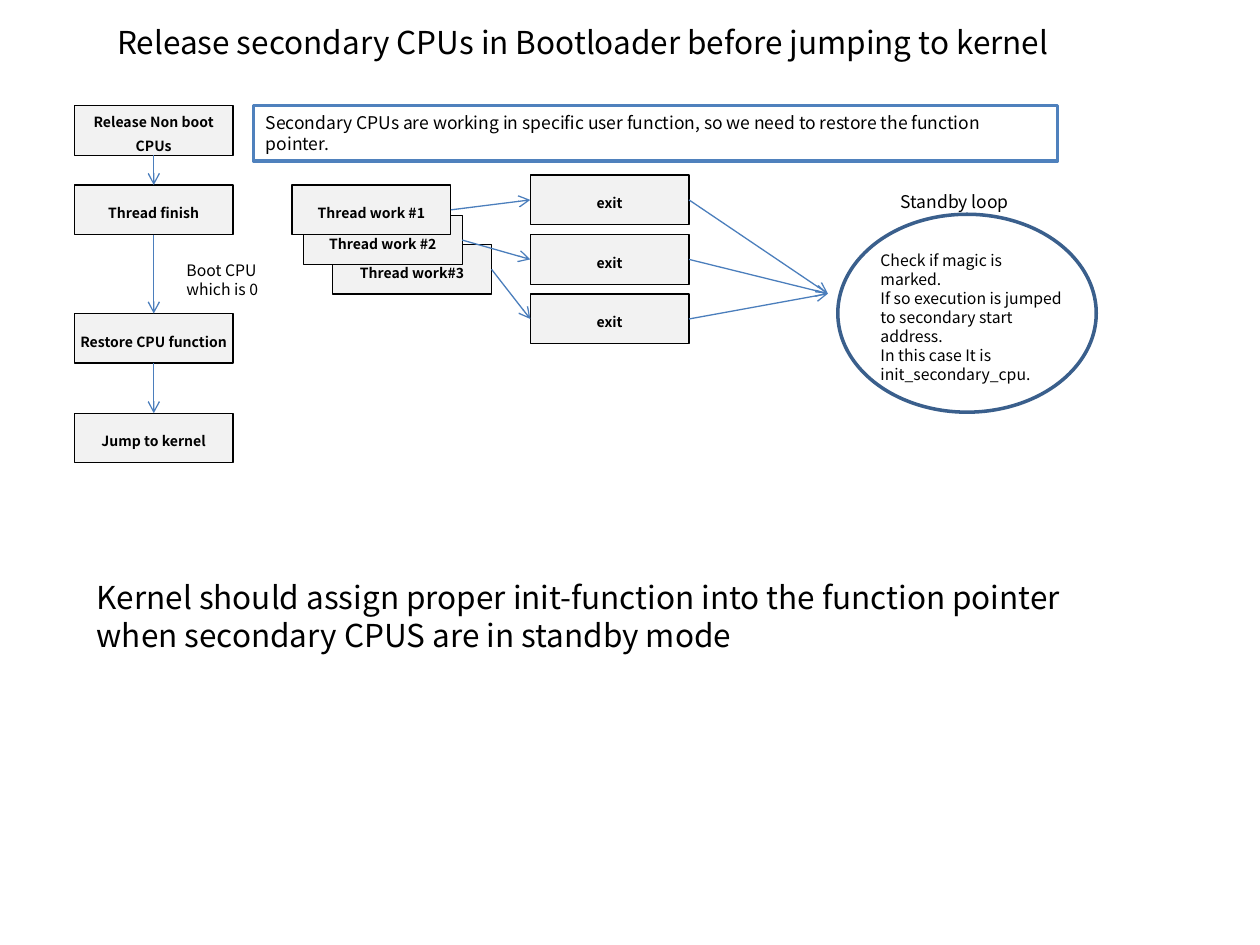
from itertools import pairwise

from lxml.etree import SubElement
from pptx import Presentation
from pptx.dml.color import RGBColor
from pptx.enum.shapes import MSO_CONNECTOR, MSO_SHAPE
from pptx.enum.text import MSO_ANCHOR, MSO_AUTO_SIZE, PP_ALIGN
from pptx.oxml.ns import qn
from pptx.util import Cm, Pt

FONT = "Noto Sans CJK KR"
COLORS = {"text": "000000", "box": "F2F2F2", "white": "FFFFFF",
          "arrow": "4B7EBC", "note": "4F81BD", "loop": "3A5F8C"}

# Lengths in centimetres
BOX_W, BOX_H = 3.2, 1.0
BOOT_LEFT, EXIT_LEFT = 1.5, 10.69
EXIT_TOP, EXIT_STEP = 3.53, 1.2
LOOP_ENTRY = (16.69, 5.92)
TOP, BOTTOM, LEFT, RIGHT = 0, 2, 1, 3  # connection sites of a rectangle

BOOT_STEPS = [("Release Non boot CPUs", 2.13), ("Thread finish", 3.73),
              ("Restore CPU function", 6.32), ("Jump to kernel", 8.33)]
THREADS = [("Thread work #1", 5.89, 3.73), ("Thread work #2", 6.12, 4.34),
           ("Thread work#3", 6.71, 4.93)]
NOTE = ("Secondary CPUs are working in specific user function, "
        "so we need to restore the function pointer.")
LABELS = [  # text, size, (left, top, width, height)
    ("Release secondary CPUs in Bootloader before jumping to kernel",
     18, (2.11, 0.33, 20.6, 1.02)),
    ("Boot CPU which is 0", 9, (3.51, 5.13, 2.59, 1.02)),
    ("Check if magic is marked.\n"
     "If so execution is jumped to secondary start address.\n"
     "In this case It is init_secondary_cpu.", 9, (17.5, 4.93, 4.19, 2.57)),
    ("Standby loop", 10, (17.91, 3.73, 3.2, 0.69)),
    ("Kernel should assign proper init-function into the function pointer "
     "when secondary CPUS are in standby mode", 18, (1.7, 11.53, 21.59, 1.8)),
]


def color(name):
    """Return a palette colour."""
    return RGBColor.from_string(COLORS[name])


def write(shape, text, size, bold=False):
    """Put wrapped, left-aligned text into a shape."""
    frame = shape.text_frame
    frame.word_wrap = True
    frame.text = text
    for paragraph in frame.paragraphs:
        paragraph.alignment = PP_ALIGN.LEFT
        for run in paragraph.runs:
            run.font.name, run.font.size, run.font.bold = FONT, Pt(size), bold
            run.font.color.rgb = color("text")
    return frame


def add_label(text, size, place):
    """Add a plain text box."""
    label = slide.shapes.add_textbox(*map(Cm, place))
    write(label, text, size).auto_size = MSO_AUTO_SIZE.SHAPE_TO_FIT_TEXT


def add_outline(kind, place, line, width, fill=None):
    """Add a shape with an outline and an optional fill."""
    shape = slide.shapes.add_shape(kind, *map(Cm, place))
    shape.shadow.inherit = False
    shape.line.color.rgb, shape.line.width = color(line), Pt(width)
    if fill:
        shape.fill.solid()
        shape.fill.fore_color.rgb = color(fill)
    else:
        shape.fill.background()
    return shape


def add_box(text, left, top):
    """Add one grey process box."""
    box = add_outline(MSO_SHAPE.RECTANGLE, (left, top, BOX_W, BOX_H),
                      "text", 0.75, "box")
    frame = write(box, text, 8, bold=True)
    frame.vertical_anchor = MSO_ANCHOR.MIDDLE
    frame.margin_left = frame.margin_right = Cm(0.1)
    frame.margin_top = frame.margin_bottom = Cm(0.1)
    frame.paragraphs[0].alignment = PP_ALIGN.CENTER
    frame.paragraphs[0].line_spacing = 1.4
    return box


def add_arrow(start, start_site, end=None, end_site=None):
    """Connect a box to another box, or to the entry of the standby loop."""
    entry = [Cm(value) for value in LOOP_ENTRY]
    arrow = slide.shapes.add_connector(MSO_CONNECTOR.STRAIGHT, *entry, *entry)
    arrow.begin_connect(start, start_site)
    if end is not None:
        arrow.end_connect(end, end_site)
    arrow.line.color.rgb, arrow.line.width = color("arrow"), Pt(0.75)
    SubElement(arrow.line._get_or_add_ln(), qn("a:tailEnd"), type="arrow")
    SubElement(arrow._element.spPr, qn("a:effectLst"))


presentation = Presentation()
presentation.slide_width, presentation.slide_height = Cm(25.4), Cm(19.05)
slide = presentation.slides.add_slide(presentation.slide_layouts[6])

note = add_outline(MSO_SHAPE.RECTANGLE, (5.11, 2.13, 16.21, 1.12),
                   "note", 2, "white")
note_frame = write(note, NOTE, 10)
note_frame.vertical_anchor = MSO_ANCHOR.TOP
note_frame.auto_size = MSO_AUTO_SIZE.SHAPE_TO_FIT_TEXT
add_outline(MSO_SHAPE.OVAL, (16.89, 4.32, 5.21, 3.99), "loop", 2)
for label_content in LABELS:
    add_label(*label_content)

boot_boxes = [add_box(text, BOOT_LEFT, top) for text, top in BOOT_STEPS]
for upper, lower in pairwise(boot_boxes):
    add_arrow(upper, BOTTOM, lower, TOP)

# The first thread lies in front, so the stack is drawn from its back
thread_boxes = [add_box(*thread) for thread in reversed(THREADS)][::-1]
for row, thread_box in enumerate(thread_boxes):
    exit_box = add_box("exit", EXIT_LEFT, EXIT_TOP + row * EXIT_STEP)
    add_arrow(thread_box, RIGHT, exit_box, LEFT)
    add_arrow(exit_box, RIGHT)

presentation.save("out.pptx")
